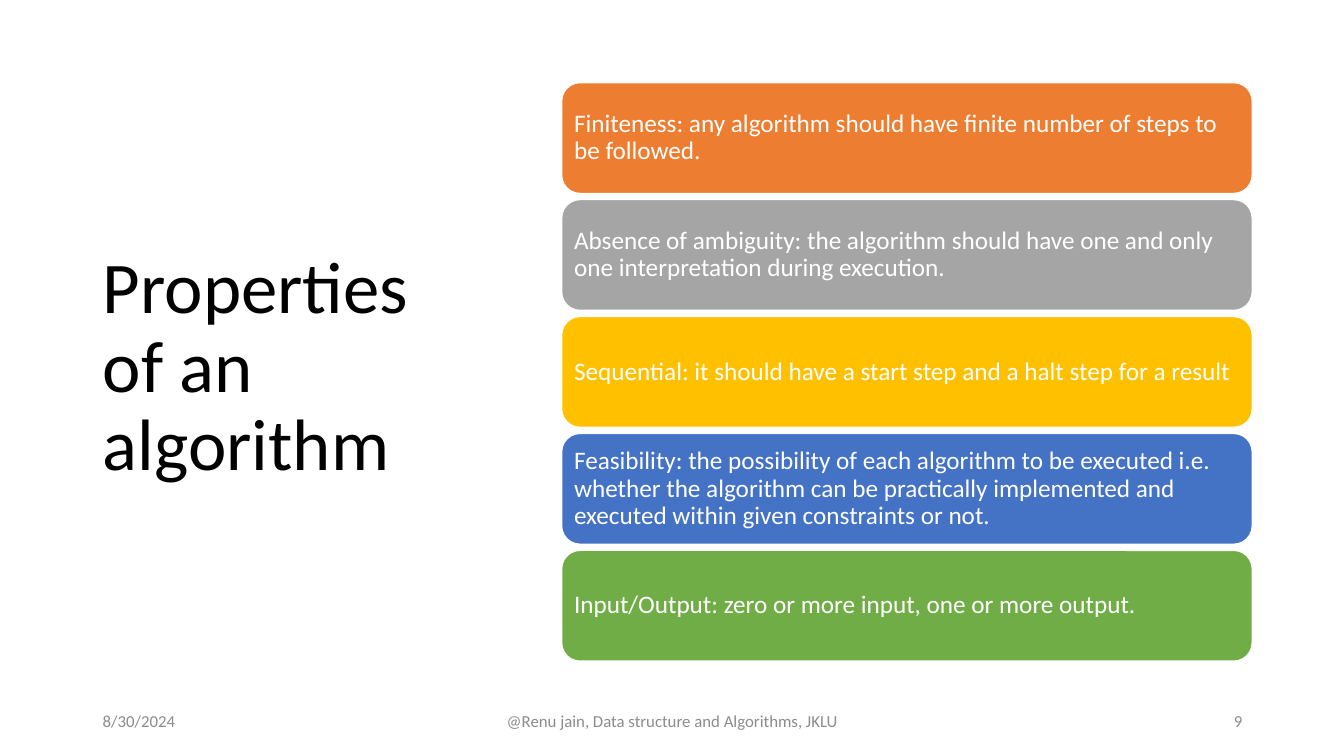
from dataclasses import dataclass

from pptx import Presentation
from pptx.dml.color import RGBColor
from pptx.enum.shapes import MSO_SHAPE
from pptx.enum.text import MSO_ANCHOR, MSO_AUTO_SIZE, PP_ALIGN
from pptx.util import Inches, Pt


@dataclass(frozen=True)
class Theme:
    font: str = "Calibri"
    title_size: int = 52
    card_size: int = 18
    footer_size: int = 12
    title_color: str = "000000"
    card_text: str = "FFFFFF"
    footer_color: str = "8C8C8C"


THEME = Theme()
SLIDE_WIDTH, SLIDE_HEIGHT = 13.33, 7.5
MARGIN = 0.92
CARD_LEFT, CARD_TOP = 5.57, 0.82
CARD_WIDTH, CARD_HEIGHT, CARD_PITCH = 6.85, 1.1, 1.16
FOOTER_TOP, FOOTER_HEIGHT = 6.95, 0.4

PROPERTIES = [
    ("ED7D31", "Finiteness: any algorithm should have finite number of steps to be followed."),
    ("A5A5A5", "Absence of ambiguity: the algorithm should have one and only one "
               "interpretation during execution."),
    ("FFC000", "Sequential: it should have a start step and a halt step for a result"),
    ("4472C4", "Feasibility: the possibility of each algorithm to be executed i.e. whether "
               "the algorithm can be practically implemented and executed within given "
               "constraints or not."),
    ("70AD47", "Input/Output: zero or more input, one or more output."),
]
FOOTERS = [
    (MARGIN, 3, "8/30/2024", PP_ALIGN.LEFT),
    (4.42, 4.5, "@Renu jain, Data structure and Algorithms, JKLU", PP_ALIGN.CENTER),
    (9.42, 3, "9", PP_ALIGN.RIGHT),
]


def write_text(shape, text, size, color, align=PP_ALIGN.LEFT, line_spacing=1.0):
    frame = shape.text_frame
    frame.text = text
    frame.word_wrap = True
    frame.auto_size = MSO_AUTO_SIZE.NONE
    frame.vertical_anchor = MSO_ANCHOR.MIDDLE
    paragraph = frame.paragraphs[0]
    paragraph.alignment = align
    paragraph.line_spacing = line_spacing
    paragraph.font.name = THEME.font
    paragraph.font.size = Pt(size)
    paragraph.font.color.rgb = RGBColor.from_string(color)


def add_title(slide, text):
    title = slide.shapes.title
    title.left, title.top = Inches(MARGIN), Inches(0.61)
    title.width, title.height = Inches(3.69), Inches(6.09)
    write_text(title, text, THEME.title_size, THEME.title_color, line_spacing=0.9)


def add_card(slide, row, fill, text):
    card = slide.shapes.add_shape(
        MSO_SHAPE.ROUNDED_RECTANGLE,
        Inches(CARD_LEFT), Inches(CARD_TOP + row * CARD_PITCH),
        Inches(CARD_WIDTH), Inches(CARD_HEIGHT))
    card.shadow.inherit = False
    card.fill.solid()
    card.fill.fore_color.rgb = RGBColor.from_string(fill)
    card.line.color.rgb = RGBColor.from_string(THEME.card_text)
    card.line.width = Pt(1)
    frame = card.text_frame
    frame.margin_left = frame.margin_right = Inches(0.07)
    frame.margin_top = frame.margin_bottom = Inches(0.07)
    write_text(card, text, THEME.card_size, THEME.card_text, line_spacing=0.9)


def add_footer(slide, left, width, text, align):
    box = slide.shapes.add_textbox(
        Inches(left), Inches(FOOTER_TOP), Inches(width), Inches(FOOTER_HEIGHT))
    write_text(box, text, THEME.footer_size, THEME.footer_color, align)


def main():
    presentation = Presentation()
    presentation.slide_width = Inches(SLIDE_WIDTH)
    presentation.slide_height = Inches(SLIDE_HEIGHT)
    title_only = presentation.slide_layouts.get_by_name("Title Only")
    slide = presentation.slides.add_slide(title_only)
    add_title(slide, "Properties of an algorithm")
    for row, (fill, text) in enumerate(PROPERTIES):
        add_card(slide, row, fill, text)
    for footer in FOOTERS:
        add_footer(slide, *footer)
    presentation.save("out.pptx")


if __name__ == "__main__":
    main()
